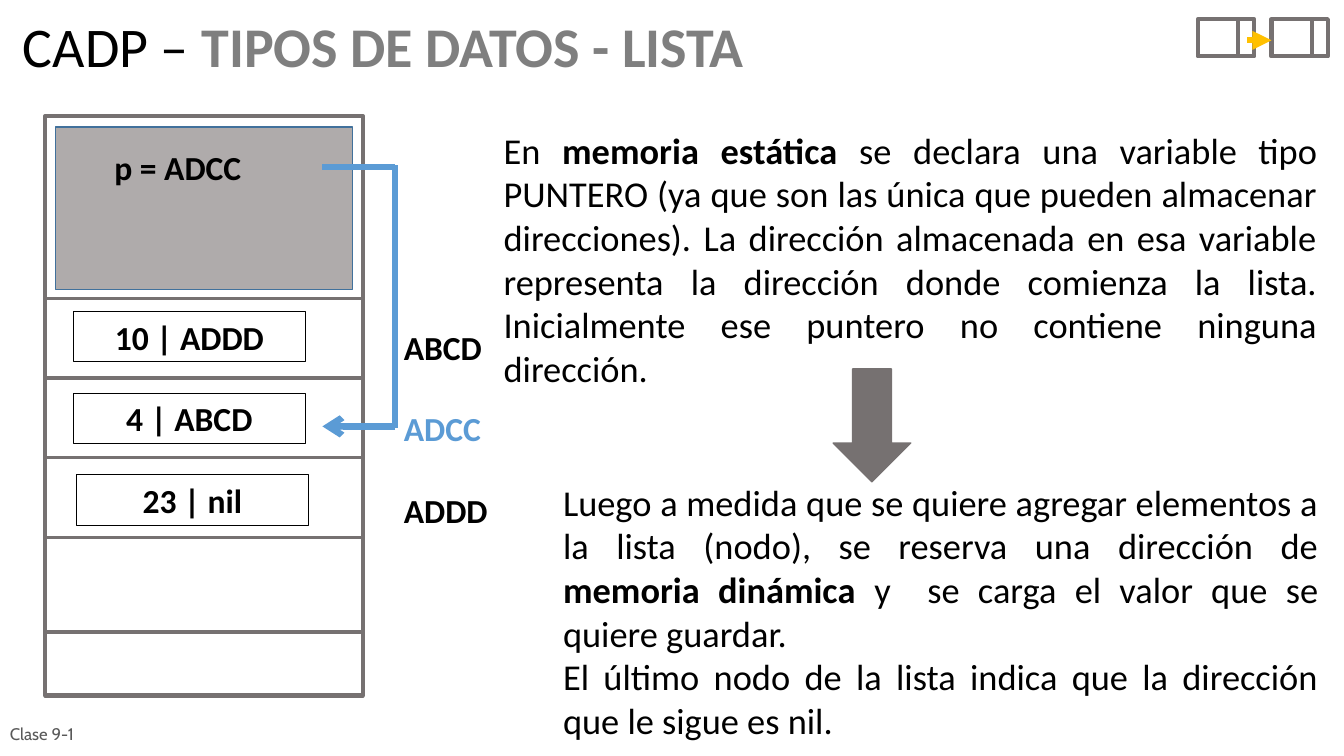
from lxml import etree
from pptx import Presentation
from pptx.dml.color import RGBColor
from pptx.enum import shapes, text
from pptx.oxml.ns import qn
from pptx.util import Inches, Pt

BLACK = RGBColor(0x00, 0x00, 0x00)
GRAY = RGBColor(0x76, 0x71, 0x71)
LIGHT_GRAY = RGBColor(0xAF, 0xAB, 0xAB)
TITLE_GRAY = RGBColor(0x7F, 0x7F, 0x7F)
FOOTER_GRAY = RGBColor(0x59, 0x59, 0x59)
BLUE = RGBColor(0x5B, 0x9B, 0xD5)
DARK_BLUE = RGBColor(0x41, 0x71, 0x9C)
AMBER = RGBColor(0xFF, 0xC0, 0x00)

SHAPE = shapes.MSO_SHAPE
ALIGN = text.PP_ALIGN


def write(sp, paragraphs, size, align=ALIGN.LEFT, font="Calibri",
          anchor=text.MSO_ANCHOR.TOP):
    """Each paragraph is a list of (text, color, bold) runs."""
    tf = sp.text_frame
    tf.word_wrap = True
    tf.vertical_anchor = anchor
    for i, runs in enumerate(paragraphs):
        p = tf.add_paragraph() if i else tf.paragraphs[0]
        p.alignment = align
        for words, color, bold in runs:
            r = p.add_run()
            r.text = words
            r.font.name, r.font.size, r.font.bold = font, Pt(size), bold
            r.font.color.rgb = color
    return tf


def add_text(s, x, y, w, h, paragraphs, size, **style):
    box = s.shapes.add_textbox(Inches(x), Inches(y), Inches(w), Inches(h))
    return write(box, paragraphs, size, **style)


def add_box(s, x, y, w, h, line, width, fill=None, kind=SHAPE.RECTANGLE):
    sp = s.shapes.add_shape(kind, Inches(x), Inches(y), Inches(w), Inches(h))
    sp.shadow.inherit = False
    if fill is None:
        sp.fill.background()
    else:
        sp.fill.solid()
        sp.fill.fore_color.rgb = fill
    sp.line.color.rgb = line
    sp.line.width = Pt(width)
    return sp


def add_line(s, x1, y1, x2, y2, color, width, arrow=None):
    c = s.shapes.add_connector(shapes.MSO_CONNECTOR.STRAIGHT, Inches(x1),
                               Inches(y1), Inches(x2), Inches(y2))
    c.line.color.rgb = color
    c.line.width = Pt(width)
    if arrow:
        etree.SubElement(c.line._get_or_add_ln(), qn("a:tailEnd"), type=arrow)
    etree.SubElement(c._element.spPr, qn("a:effectLst"))


def header(s, x, y, w, h):
    tf = add_text(s, x, y, w, h, [[("CADP – ", BLACK, False),
                                   ("TIPOS DE DATOS - LISTA", TITLE_GRAY, True)]], 40)
    tf.paragraphs[0].line_spacing = 0.9


def list_icon(s, x, y, node_w, node_h, pitch):
    for left in (x, x + pitch):
        add_box(s, left, y, node_w, node_h, GRAY, 3)
        add_line(s, left + 0.4, y, left + 0.4, y + node_h, GRAY, 3)
    add_line(s, x + 0.49, y + 0.21, x + pitch, y + 0.21, AMBER, 4.5, "triangle")


def memory(s, x, y, w, h):
    # Frame and row dividers
    add_box(s, x, y, w, h, GRAY, 3)
    for dy in (1.81, 2.6, 3.39, 4.18, 5.12):
        add_line(s, x, y + dy, x + w, y + dy, GRAY, 2.25)

    # Static memory with the pointer
    add_box(s, x + 0.1, y + 0.11, w - 0.2, 1.61, DARK_BLUE, 1, LIGHT_GRAY)
    add_text(s, x + 0.45, y + 0.26, 1.73, 0.5, [[("p = ADCC", BLACK, True)]],
             24, align=ALIGN.CENTER)

    # Nodes and their addresses
    nodes = [("10 | ADDD", "ABCD", BLACK, 0.28),
             ("4 | ABCD", "ADCC", BLUE, 0.28),
             ("23 | nil", "ADDD", BLACK, 0.31)]
    for i, (node, address, color, dx) in enumerate(nodes):
        top = y + 1.94 + 0.81 * i
        sp = add_box(s, x + dx, top, 2.3, 0.5, BLACK, 0.75)
        write(sp, [[(node, BLACK, True)]], 24, align=ALIGN.CENTER)
        add_text(s, x + w + 0.31, top + 0.1, 1.73, 0.5,
                 [[(address, color, True)]], 24)

    # Path from the pointer to the first node
    start, bend = x + 2.75, x + w + 0.32
    top, bottom = y + 0.51, y + 3.08
    add_line(s, start, top, bend, top, BLUE, 4.5)
    add_line(s, bend, top - 0.02, bend, bottom + 0.02, BLUE, 4.5)
    add_line(s, bend, bottom, start, bottom, BLUE, 4.5, "arrow")


def explanation(s, x, y, w):
    add_text(s, x, y, w, 2.7, [[
        ("En ", BLACK, False),
        ("memoria estática", BLACK, True),
        (" se declara una variable tipo PUNTERO (ya que son las única que pueden "
         "almacenar direcciones). La dirección almacenada en esa variable "
         "representa la dirección donde comienza la lista. Inicialmente ese "
         "puntero no contiene ninguna dirección.", BLACK, False),
    ]], 26, align=ALIGN.JUSTIFY)
    add_box(s, x + 3.37, y + 2.44, 0.77, 1.12, GRAY, 1, GRAY, SHAPE.DOWN_ARROW)
    add_text(s, x + 0.59, y + 3.49, w - 0.58, 2.7, [
        [("Luego a medida que se quiere agregar elementos a la lista (nodo), se "
          "reserva una dirección de ", BLACK, False),
         ("memoria dinámica", BLACK, True),
         (" y  se carga el valor que se quiere guardar.", BLACK, False)],
        [("El último nodo de la lista indica que la dirección que le sigue es nil.",
          BLACK, False)],
    ], 26, align=ALIGN.JUSTIFY)


def footer(s, x, y, w, h):
    add_text(s, x, y, w, h, [[("Clase 9-1", FOOTER_GRAY, False)]], 12,
             font="Cabin", anchor=text.MSO_ANCHOR.MIDDLE)


def main():
    prs = Presentation()
    prs.slide_width, prs.slide_height = Inches(13.34), Inches(7.5)
    s = prs.slides.add_slide(prs.slide_layouts[6])
    footer(s, 0, 7.07, 1.07, 0.43)
    header(s, 0.13, 0.14, 8.74, 0.76)
    list_icon(s, 11.89, 0.19, 0.56, 0.37, 0.73)
    memory(s, 0.45, 1.15, 3.15, 5.75)
    explanation(s, 4.9, 1.22, 8.28)
    prs.save("out.pptx")


if __name__ == "__main__":
    main()
